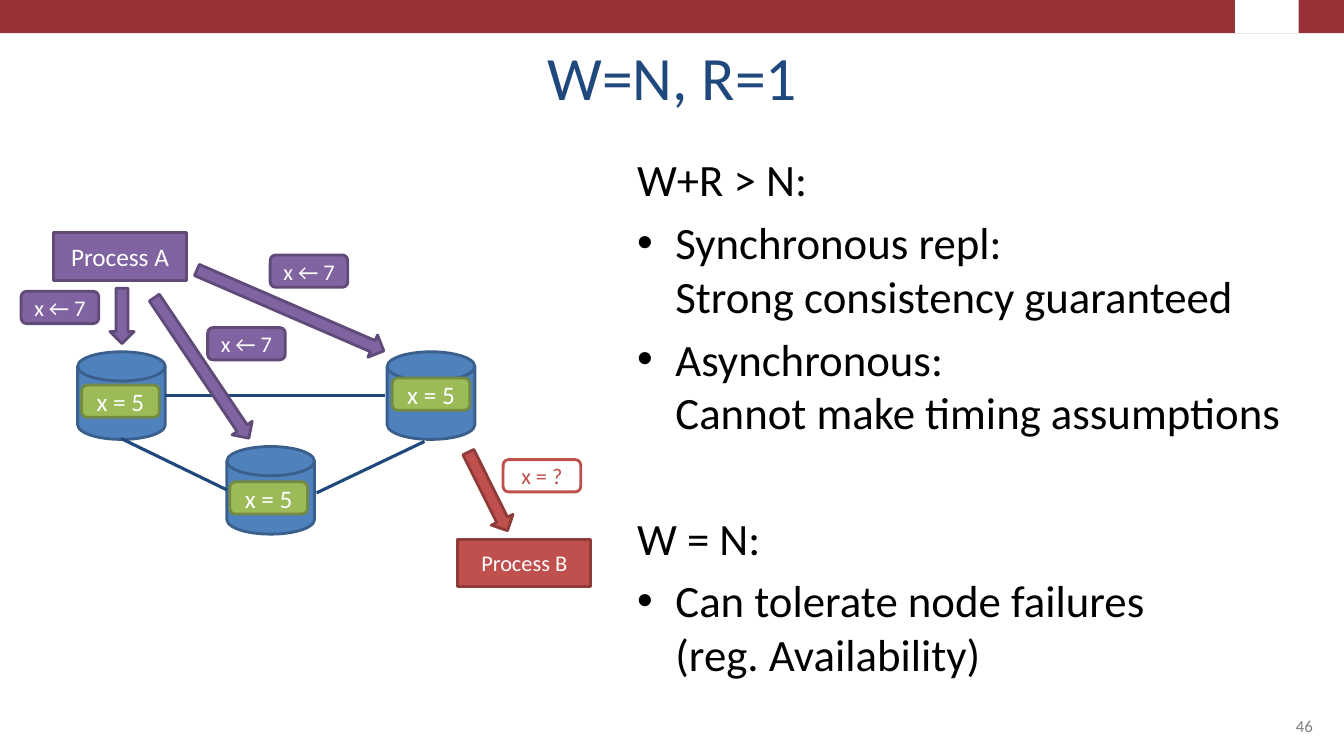
"""Build a slide on quorum replication where every replica acknowledges a write."""
from dataclasses import dataclass

from lxml import etree
from pptx import Presentation
from pptx.dml.color import RGBColor
from pptx.enum.shapes import MSO_CONNECTOR, MSO_SHAPE
from pptx.enum.text import MSO_ANCHOR, PP_ALIGN
from pptx.oxml.ns import qn
from pptx.util import Inches, Pt

RECT = MSO_SHAPE.RECTANGLE
ROUNDED = MSO_SHAPE.ROUNDED_RECTANGLE
DISK = MSO_SHAPE.FLOWCHART_MAGNETIC_DISK
DOWN_ARROW = MSO_SHAPE.DOWN_ARROW
STRAIGHT = MSO_CONNECTOR.STRAIGHT
CENTER, RIGHT, LEFT = PP_ALIGN.CENTER, PP_ALIGN.RIGHT, PP_ALIGN.LEFT
TOP, MIDDLE, BOTTOM = MSO_ANCHOR.TOP, MSO_ANCHOR.MIDDLE, MSO_ANCHOR.BOTTOM


@dataclass(frozen=True)
class Theme:
    """Colours, as (fill, outline) pairs where needed, and type sizes."""

    font: str = "Calibri"
    banner: str = "963237"
    navy: str = "1F497D"
    black: str = "000000"
    white: str = "FFFFFF"
    grey: str = "808080"
    blue: tuple = ("4F81BD", "3A5F8C")
    purple: tuple = ("8064A2", "5F4A78")
    red: tuple = ("C0504D", "8E3B39")
    green: tuple = ("9BBB59", "738A42")
    outlined_red: tuple = ("FFFFFF", "C0504D")
    title: int = 44
    body: int = 32
    large_label: int = 18
    label: int = 16
    number: int = 12
    outline: float = 2
    link: float = 2.25


THEME = Theme()
DISKS = [(0.77, 3.49), (2.25, 4.43), (3.84, 3.49)]
LINKS = [(1.2, 4.35, 2.25, 4.86), (3.14, 4.89, 4.21, 4.38), (1.64, 3.92, 3.82, 3.92)]
VALUE_TAGS = [(3.89, 3.75), (2.28, 4.78), (0.81, 3.82)]
WRITES = [
    ((1.09, 2.86, 0.55, 0), (0.21, 2.89)),
    ((1.88, 2.81, 1.68, 326.1), (2.06, 3.25)),
    ((2.76, 2.07, 2.02, 293.4), (2.68, 2.53)),
]
BODY = [
    ("W+R > N:", False, 0),
    ("Synchronous repl:\vStrong consistency guaranteed", True, 6.4),
    ("Asynchronous:\vCannot make timing assumptions", True, 6.4),
    ("W = N:", False, 51),
    ("Can tolerate node failures\v(reg. Availability)", True, 6.4),
]


def style_font(font, size, color):
    """Apply the theme typeface with a size and colour."""
    font.name = THEME.font
    font.size = Pt(size)
    font.color.rgb = RGBColor.from_string(color)


def add_block(page, kind, left, top, width, height, colors, rotation=0):
    """Add a filled preset shape, outlined when an outline colour is given."""
    fill, outline = colors
    shape = page.shapes.add_shape(
        kind, Inches(left), Inches(top), Inches(width), Inches(height))
    shape.shadow.inherit = False
    shape.rotation = rotation
    shape.fill.solid()
    shape.fill.fore_color.rgb = RGBColor.from_string(fill)
    if outline:
        shape.line.color.rgb = RGBColor.from_string(outline)
        shape.line.width = Pt(THEME.outline)
    else:
        shape.line.fill.background()
    return shape


def add_label(page, kind, place, text, colors, size, color=THEME.white):
    """Add a shape with one centred line of text."""
    shape = add_block(page, kind, *place, colors)
    frame = shape.text_frame
    frame.margin_left = frame.margin_right = 0
    frame.margin_top = frame.margin_bottom = 0
    frame.vertical_anchor = MIDDLE
    frame.text = text
    para = frame.paragraphs[0]
    para.alignment = CENTER
    style_font(para.runs[0].font, size, color)


def add_tag(page, left, top, text, colors, size, color=THEME.white):
    """Add a small rounded tag showing the value of x."""
    add_label(page, ROUNDED, (left, top, 0.77, 0.32), text, colors, size, color)


def add_arrow(page, left, top, length, rotation, colors):
    """Add a block arrow turned from pointing straight down."""
    add_block(page, DOWN_ARROW, left, top, 0.24, length, colors, rotation)


def add_link(page, start_x, start_y, end_x, end_y):
    """Add a line between two replicas."""
    link = page.shapes.add_connector(
        STRAIGHT, Inches(start_x), Inches(start_y), Inches(end_x), Inches(end_y))
    link.line.color.rgb = RGBColor.from_string(THEME.navy)
    link.line.width = Pt(THEME.link)
    etree.SubElement(link._element.spPr, qn("a:effectLst"))


def add_text(page, place, anchor, lines, size, color, alignment):
    """Add a text box from (text, bulleted, space before) lines."""
    box = page.shapes.add_textbox(*map(Inches, place))
    frame = box.text_frame
    frame.word_wrap = True
    frame.vertical_anchor = anchor
    for index, (text, bulleted, space) in enumerate(lines):
        para = frame.add_paragraph() if index else frame.paragraphs[0]
        para.text = text
        para.alignment = alignment
        para.space_before = Pt(space)
        if bulleted:
            add_bullet(para)
        for span in para.runs:
            style_font(span.font, size, color)


def add_bullet(para):
    """Give a paragraph a hanging round bullet."""
    properties = para._p.get_or_add_pPr()
    properties.set("marL", str(Inches(0.38)))
    properties.set("indent", str(Inches(-0.38)))
    etree.SubElement(properties, qn("a:buFont"), typeface="Arial")
    etree.SubElement(properties, qn("a:buChar"), char="•")


def add_diagram(page):
    """Draw the replicas, the writes from process A and the read by process B."""
    for left, top in DISKS:
        add_block(page, DISK, left, top, 0.87, 0.87, THEME.blue)
    for ends in LINKS:
        add_link(page, *ends)
    add_label(page, RECT, (0.53, 2.31, 1.32, 0.47), "Process A",
              THEME.purple, THEME.large_label)
    add_label(page, RECT, (4.54, 5.35, 1.32, 0.47), "Process B",
              THEME.red, THEME.label)
    add_arrow(page, 4.72, 4.44, 0.87, 333.5, THEME.red)
    add_tag(page, 4.99, 4.56, "x = ?", THEME.outlined_red, THEME.label, THEME.red[0])
    for arrow, tag in WRITES:
        add_arrow(page, *arrow, THEME.purple)
        add_tag(page, *tag, "x ← 7", THEME.purple, THEME.label)
    for left, top in VALUE_TAGS:
        add_tag(page, left, top, "x = 5", THEME.green, THEME.large_label)


def main():
    """Build the deck and save it."""
    deck = Presentation()
    deck.slide_width, deck.slide_height = Inches(13.33), Inches(7.5)
    page = deck.slides.add_slide(deck.slide_layouts[6])
    add_block(page, RECT, 0, 0, 13.33, 0.33, (THEME.banner, None))
    add_block(page, RECT, 12.25, 0, 0.63, 0.33, (THEME.white, None))
    add_text(page, (0.67, 0.3, 12, 0.87), BOTTOM, [("W=N, R=1", False, 0)],
             THEME.title, THEME.navy, CENTER)
    add_text(page, (9.56, 6.83, 3.56, 0.52), BOTTOM, [("46", False, 0)],
             THEME.number, THEME.grey, RIGHT)
    add_text(page, (6.22, 1.46, 6.82, 5.37), TOP, BODY,
             THEME.body, THEME.black, LEFT)
    add_diagram(page)
    deck.save("out.pptx")


if __name__ == "__main__":
    main()
